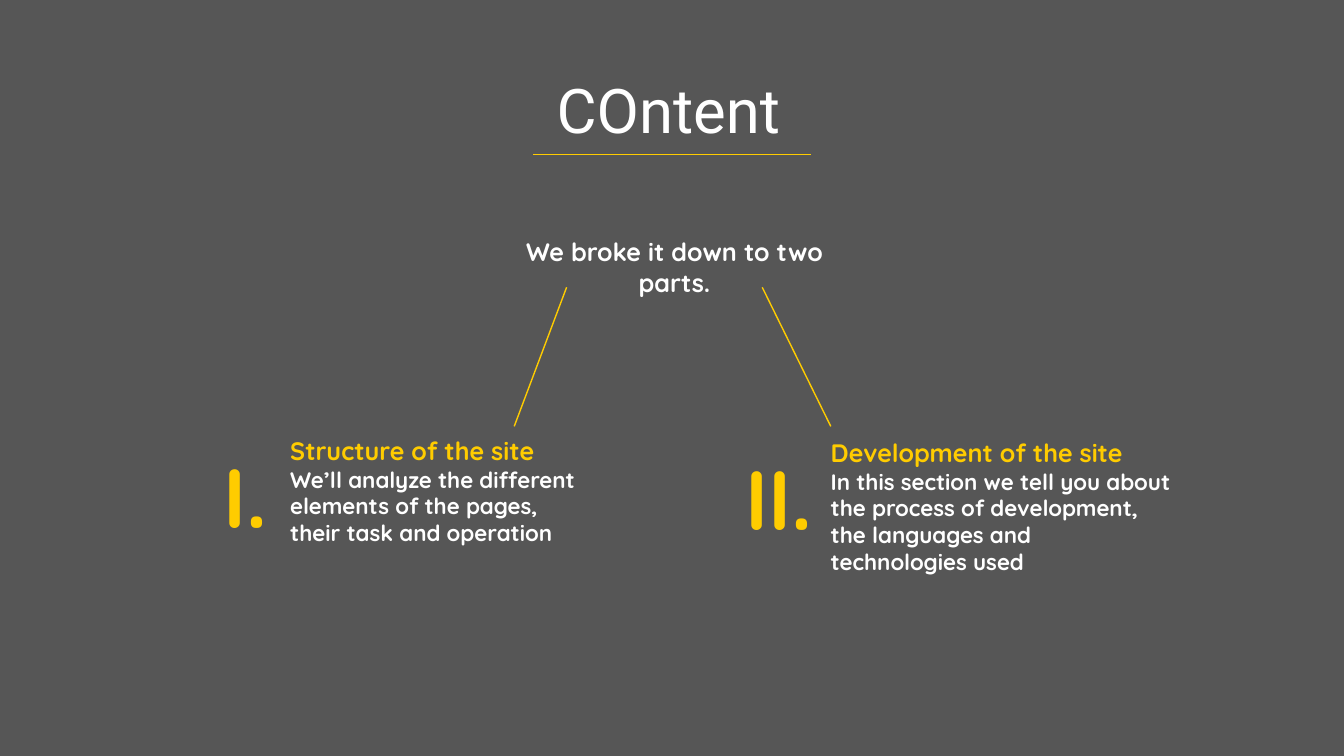
"""Build the content slide that introduces the two parts of the talk."""
from pptx import Presentation
from pptx.dml.color import RGBColor
from pptx.enum import shapes, text
from pptx.oxml.ns import qn
from pptx.util import Inches, Pt

GREY = RGBColor(0x56, 0x56, 0x56)
YELLOW = RGBColor(0xFF, 0xCC, 0x00)
WHITE = RGBColor(0xFF, 0xFF, 0xFF)

deck = Presentation()
deck.slide_width, deck.slide_height = Inches(13.33), Inches(7.5)
slide = deck.slides.add_slide(deck.slide_layouts[5])
slide.background.fill.solid()
slide.background.fill.fore_color.rgb = GREY


def add_text(left, top, width, height, lines, align=text.PP_ALIGN.LEFT):
    frame = slide.shapes.add_textbox(
        Inches(left), Inches(top), Inches(width), Inches(height)).text_frame
    frame.word_wrap = True
    frame.text = "\n".join(words for words, size, color in lines)
    for paragraph, (words, size, color) in zip(frame.paragraphs, lines):
        paragraph.alignment = align
        font = paragraph.runs[0].font
        font.name, font.size, font.bold = "Quicksand", Pt(size), True
        font.color.rgb = color


def add_line(x1, y1, x2, y2):
    line = slide.shapes.add_connector(
        shapes.MSO_CONNECTOR.STRAIGHT, Inches(x1), Inches(y1), Inches(x2), Inches(y2))
    line.line.color.rgb = YELLOW
    line.line.width = Pt(1)
    properties = line._element.spPr
    properties.append(properties.makeelement(qn("a:effectLst"), {}))


title = slide.shapes.title
title.left, title.top = Inches(0.88), Inches(0.4)
title.width, title.height = Inches(11.5), Inches(1.45)
title.text_frame.text = "COntent"
title.text_frame.vertical_anchor = text.MSO_ANCHOR.MIDDLE
heading = title.text_frame.paragraphs[0]
heading.alignment = text.PP_ALIGN.CENTER
heading.line_spacing = 0.9
heading_font = heading.runs[0].font
heading_font.name, heading_font.size = "Roboto", Pt(44)
heading_font.color.rgb = WHITE
add_line(5.29, 1.53, 8.04, 1.53)

add_text(4.9, 2.3, 3.58, 0.7,
         [("We broke it down to two parts.", 18, WHITE)], text.PP_ALIGN.CENTER)

parts = [
    ("I.", 1.76, 4.36, 2.78, 3.15, "Structure of the site",
     ["We’ll analyze the different", "elements of the pages, their task and operation"],
     5.62, 5.1),
    ("II.", 7.05, 4.38, 8.14, 3.58, "Development of the site",
     ["In this section we tell you about the process of development, "
      "the languages and technologies used"],
     7.56, 8.24),
]
for numeral, numeral_left, top, left, width, name, details, branch_start, branch_end in parts:
    add_text(numeral_left, top, 1.35, 1.11, [(numeral, 60, YELLOW)], text.PP_ALIGN.CENTER)
    add_text(left, top - 0.09, width, 1.21,
             [(name, 18, YELLOW)] + [(detail, 16, WHITE) for detail in details])
    add_line(branch_start, 2.85, branch_end, 4.23)

deck.save("out.pptx")
